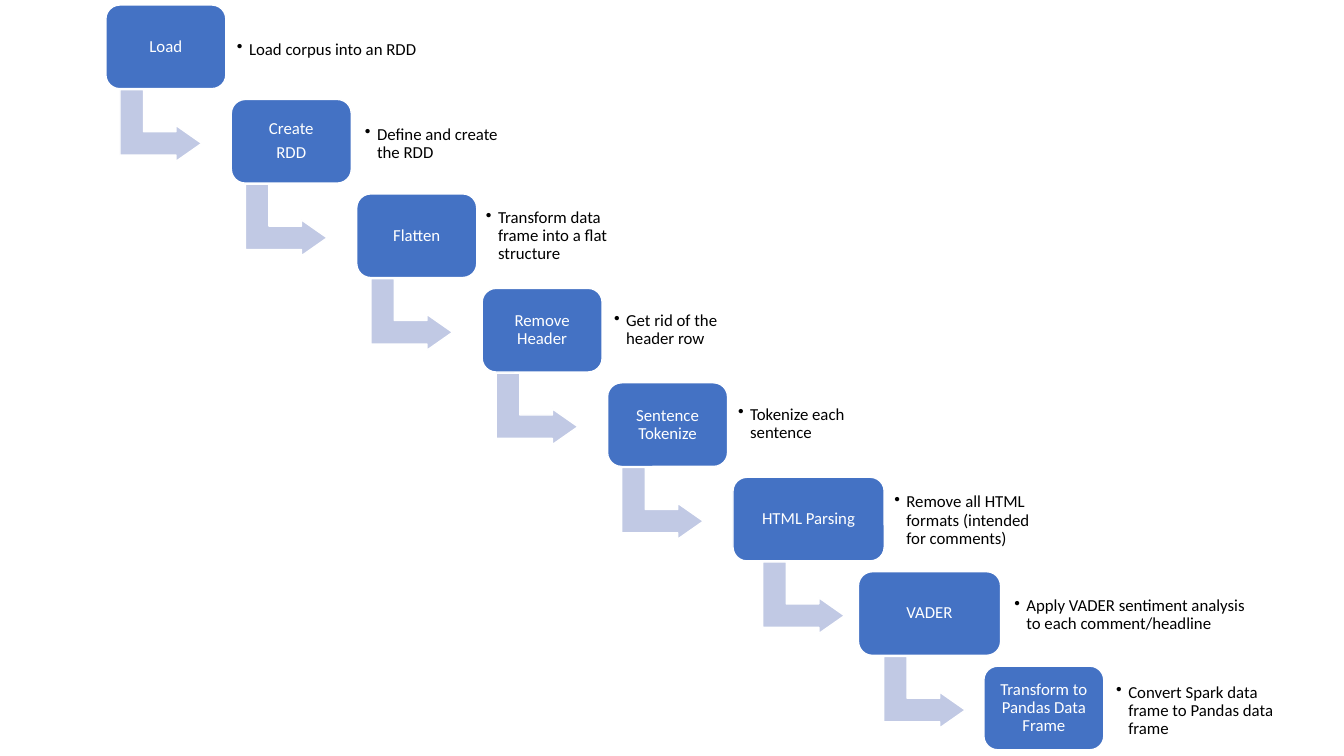
from pptx import Presentation
from pptx.dml.color import RGBColor
from pptx.enum.shapes import MSO_SHAPE as Shape
from pptx.enum.text import MSO_ANCHOR as Anchor, PP_ALIGN as Align
from pptx.oxml.ns import qn
from pptx.util import Inches, Pt
from lxml import etree

BOX_WIDTH, BOX_HEIGHT = 1.19, 0.83
ARROW_WIDTH, ARROW_HEIGHT = 0.71, 0.81
FIRST_LEFT, FIRST_TOP = 1.05, 0.05
STEP_RIGHT, STEP_DOWN = 1.244, 0.937

# Box label, box width, note, then the note's left, top and width
STEPS = [
    ("Load", BOX_WIDTH, "Load corpus into an RDD", 2.3, 0.16, 1.93),
    ("Create\nRDD", BOX_WIDTH, "Define and create the RDD", 3.57, 1.09, 1.5),
    ("Flatten", BOX_WIDTH, "Transform data frame into a flat structure", 4.77, 2.01, 1.57),
    ("Remove Header", BOX_WIDTH, "Get rid of the header row", 6.04, 2.94, 1.53),
    ("Sentence Tokenize", BOX_WIDTH, "Tokenize each sentence", 7.27, 3.87, 1.48),
    ("HTML Parsing", 1.5, "Remove all HTML formats (intended for comments)", 8.82, 4.83, 1.66),
    ("VADER", 1.41, "Apply VADER sentiment analysis to each comment/headline", 10.01, 5.77, 2.48),
    ("Transform to Pandas Data Frame", BOX_WIDTH,
     "Convert Spark data frame to Pandas data frame", 11.02, 6.72, 1.79),
]


def add_block(kind, left, top, width, height, fill):
    block = page.shapes.add_shape(kind, Inches(left), Inches(top), Inches(width), Inches(height))
    block.shadow.inherit = False
    block.fill.solid()
    block.fill.fore_color.rgb = RGBColor.from_string(fill)
    block.line.color.rgb = RGBColor.from_string("FFFFFF")
    block.line.width = Pt(1)
    return block


def write_text(shape, text, color, align, space_after):
    frame = shape.text_frame
    frame.word_wrap = True
    frame.vertical_anchor = Anchor.MIDDLE
    frame.margin_left = frame.margin_right = Inches(0.05)
    frame.margin_top = frame.margin_bottom = Inches(0.05)
    frame.text = text
    for para in frame.paragraphs:
        para.alignment = align
        para.line_spacing = 0.9
        para.space_after = Pt(space_after)
        para.font.name = "Calibri"
        para.font.size = Pt(12)
        para.font.color.rgb = RGBColor.from_string(color)


deck = Presentation()
deck.slide_width, deck.slide_height = Inches(13.33), Inches(7.5)
page = deck.slides.add_slide(deck.slide_layouts[6])

for index, (label, width, note, note_left, note_top, note_width) in enumerate(STEPS):
    left = FIRST_LEFT + index * STEP_RIGHT
    top = FIRST_TOP + index * STEP_DOWN

    # Arrow to the next step
    if index < len(STEPS) - 1:
        arrow_left = left + 0.19 + (width - BOX_WIDTH) / 2
        arrow = add_block(Shape.BENT_UP_ARROW, arrow_left, top + 0.79,
                          ARROW_WIDTH, ARROW_HEIGHT, "C1C9E4")
        arrow.rotation = 90
        for position, value in enumerate((0.328, 0.25, 0.358)):
            arrow.adjustments[position] = value

    # Step box
    box = add_block(Shape.ROUNDED_RECTANGLE, left, top, width, BOX_HEIGHT, "4472C4")
    write_text(box, label, "FFFFFF", Align.CENTER, 4.2)

    # Bulleted note
    note_box = page.shapes.add_textbox(Inches(note_left), Inches(note_top),
                                       Inches(note_width), Inches(0.67))
    write_text(note_box, note, "000000", Align.LEFT, 1.8)
    para = note_box.text_frame.paragraphs[0]
    para.level = 1
    properties = para._p.get_or_add_pPr()
    properties.set("marL", str(Inches(0.12)))
    properties.set("indent", str(Inches(-0.12)))
    bullet = etree.Element(qn("a:buChar"), char="•")
    properties.find(qn("a:defRPr")).addprevious(bullet)

deck.save("out.pptx")
